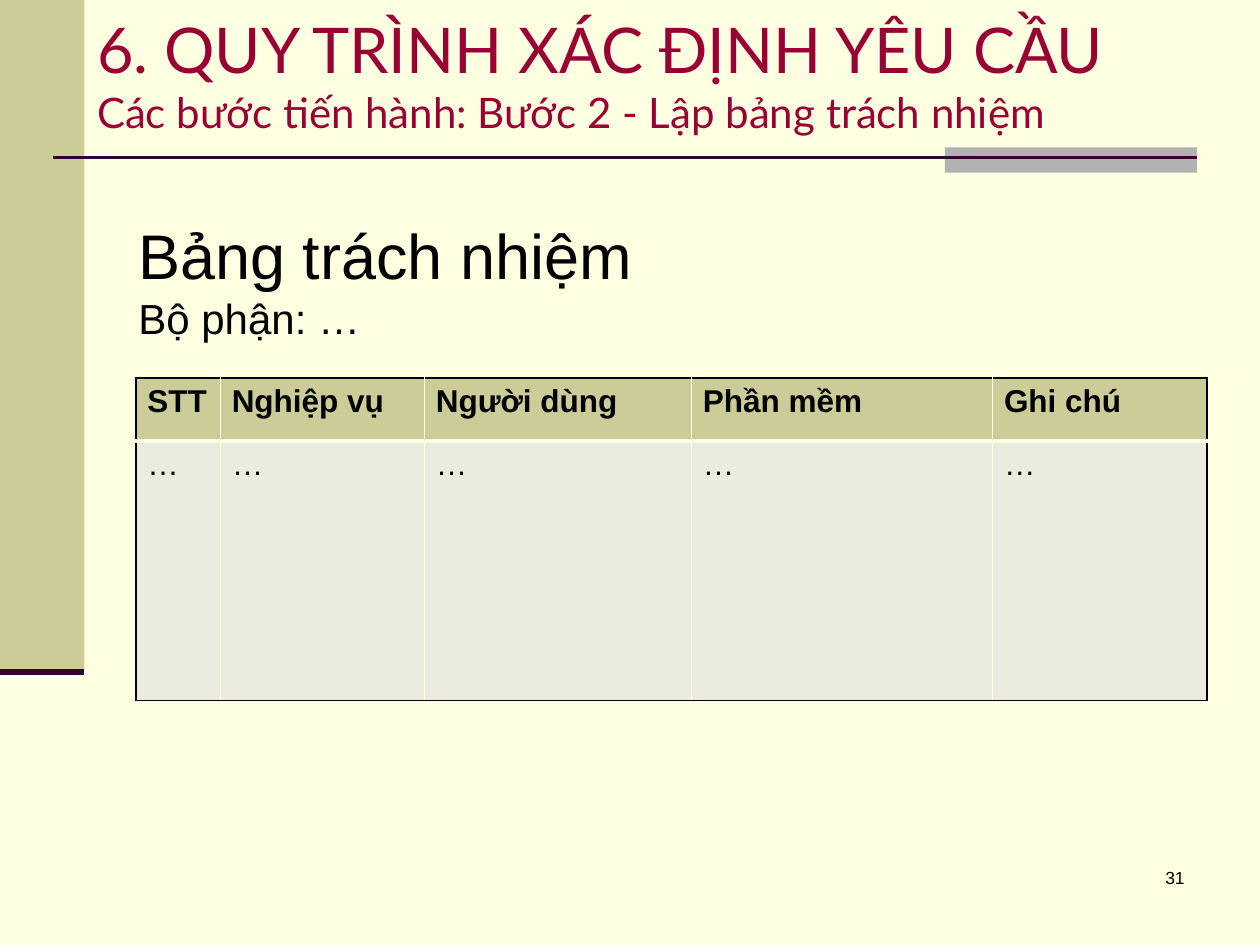
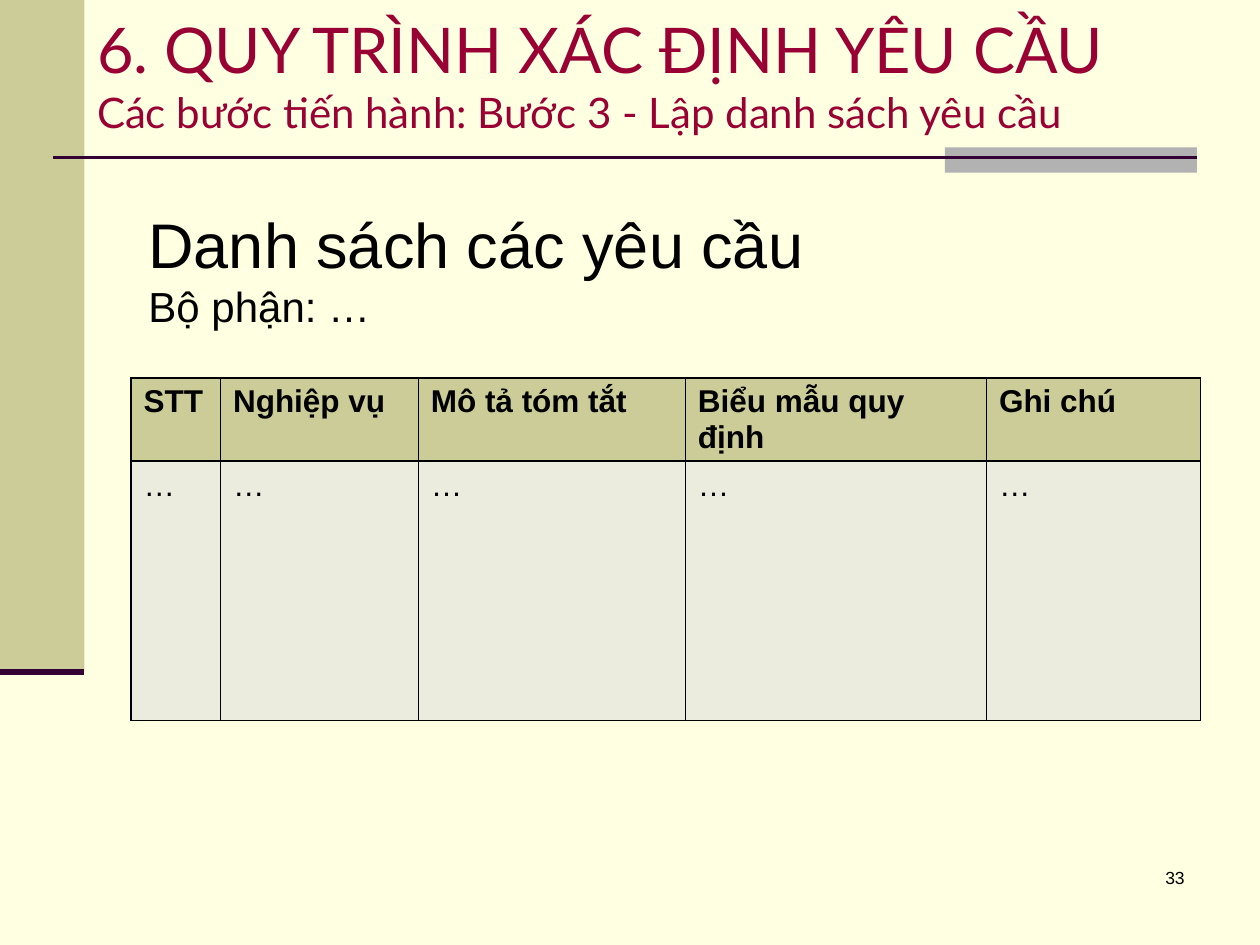
from dataclasses import dataclass

from lxml.etree import SubElement
from pptx import Presentation
from pptx.dml.color import RGBColor
from pptx.enum.shapes import MSO_CONNECTOR, MSO_SHAPE
from pptx.enum.text import MSO_ANCHOR, MSO_AUTO_SIZE, PP_ALIGN
from pptx.oxml.ns import qn
from pptx.util import Inches, Pt


@dataclass(frozen=True)
class Theme:
    """Colours, fonts and type sizes shared by the slides."""
    paper: str = "FFFFE1"
    olive: str = "CCCC99"
    pale: str = "ECECDE"
    grey: str = "B2B2B2"
    plum: str = "330033"
    crimson: str = "990033"
    ink: str = "000000"
    title_font: str = "Lato"
    body_font: str = "Arial"
    heading: int = 36
    subheading: int = 24
    cell: int = 18
    number: int = 10


THEME = Theme()
SECTION = "6. QUY TRÌNH XÁC ĐỊNH YÊU CẦU"
DEPARTMENT = "Bộ phận: …"
TITLE_BOX = (0.67, 0, 9.33, 1.17)
NUMBER_BOX = (7.42, 6.83, 2.08, 0.5)

SLIDES = [
    dict(
        step="Các bước tiến hành: Bước 2 - Lập bảng trách nhiệm",
        caption="Bảng trách nhiệm", caption_box=(1, 1.67, 8.5, 1.11),
        headers=["STT", "Nghiệp vụ", "Người dùng", "Phần mềm", "Ghi chú"],
        table_at=(1.08, 3), widths=[0.67, 1.62, 2.12, 2.39, 1.7],
        heights=[0.5, 2.06], margin=0.09,
        inner=THEME.paper, header_rule=3, number="31",
    ),
    dict(
        step="Các bước tiến hành: Bước 3 - Lập danh sách yêu cầu",
        caption="Danh sách các yêu cầu", caption_box=(1.08, 1.58, 8.42, 1.11),
        headers=["STT", "Nghiệp vụ", "Mô tả tóm tắt", "Biểu mẫu quy định", "Ghi chú"],
        table_at=(1.04, 3), widths=[0.71, 1.57, 2.12, 2.39, 1.7],
        heights=[0.66, 2.06], margin=0.1,
        inner=THEME.ink, header_rule=1, number="33",
    ),
]


def rgb(value):
    """Turn a hex string into a colour."""
    return RGBColor.from_string(value)


def inches(*lengths):
    """Convert several lengths to inches."""
    return [Inches(length) for length in lengths]


def write(frame, *lines, font=THEME.body_font, color=THEME.ink, bold=False,
          align=PP_ALIGN.LEFT, anchor=MSO_ANCHOR.TOP):
    """Write (text, size) lines into one paragraph, parted by line breaks."""
    frame.word_wrap = True
    frame.vertical_anchor = anchor
    paragraph = frame.paragraphs[0]
    paragraph.alignment = align
    for index, (text, size) in enumerate(lines):
        if index:
            paragraph.add_line_break()
            line_break = paragraph._p.findall(qn("a:br"))[-1]
            SubElement(line_break, qn("a:rPr"), sz=str(lines[index - 1][1] * 100))
        run = paragraph.add_run()
        run.text = text
        run.font.name = font
        run.font.size = Pt(size)
        run.font.bold = bold
        run.font.color.rgb = rgb(color)


def add_text(slide, box, *lines, **style):
    """Add a text box holding the given lines."""
    frame = slide.shapes.add_textbox(*inches(*box)).text_frame
    write(frame, *lines, **style)


def add_block(slide, box, color):
    """Add a plain filled rectangle."""
    block = slide.shapes.add_shape(MSO_SHAPE.RECTANGLE, *inches(*box))
    block.shadow.inherit = False
    block.fill.solid()
    block.fill.fore_color.rgb = rgb(color)
    block.line.fill.background()


def add_rule(slide, left, right, y, weight):
    """Add a horizontal plum line."""
    rule = slide.shapes.add_connector(
        MSO_CONNECTOR.STRAIGHT, *inches(left, y, right, y))
    rule.line.color.rgb = rgb(THEME.plum)
    rule.line.width = Pt(weight)
    SubElement(rule._element.spPr, qn("a:effectLst"))


def add_side_band(slide, box):
    """Draw the left band with its closing line."""
    left, top, width, height = box
    add_block(slide, box, THEME.olive)
    add_rule(slide, left, left + width, top + height, 3.5)


def add_title(slide, box, step):
    """Place the title and the line with its grey tab below it."""
    left, top, width, height = box
    bottom = top + height
    add_block(slide, (left + width - 2.5, bottom, 2, 0.2), THEME.grey)
    add_rule(slide, left - 0.25, left + width - 0.5, bottom + 0.08, 1.5)
    title = slide.shapes.title
    title.left, title.top, title.width, title.height = inches(*box)
    title.text_frame.auto_size = MSO_AUTO_SIZE.NONE
    write(title.text_frame, (SECTION, THEME.heading), (step, THEME.subheading),
          font=THEME.title_font, color=THEME.crimson, anchor=MSO_ANCHOR.MIDDLE)


def set_borders(cell, borders):
    """Draw cell borders given as (side, colour, points)."""
    properties = cell._tc.get_or_add_tcPr()
    for side, color, points in borders:
        line = SubElement(properties, qn(f"a:ln{side}"), w=str(Pt(points)))
        fill = SubElement(line, qn("a:solidFill"))
        SubElement(fill, qn("a:srgbClr"), val=color)


def add_form(slide, at, headers, widths, heights, margin, inner, header_rule):
    """Add the form table: a header row over one open row."""
    table = slide.shapes.add_table(
        len(heights), len(widths), *inches(*at, sum(widths), sum(heights))).table
    table.first_row = table.horz_banding = False
    for column, width in zip(table.columns, widths):
        column.width = Inches(width)
    for row, height in zip(table.rows, heights):
        row.height = Inches(height)
    last = len(widths) - 1
    for index, header in enumerate(headers):
        left = THEME.ink if index == 0 else inner
        right = THEME.ink if index == last else inner
        sides = [("L", left, 1), ("R", right, 1)]
        rows = [
            (header, True, THEME.olive,
             [("T", THEME.ink, 1), ("B", inner, header_rule)]),
            ("…", False, THEME.pale,
             [("T", inner, header_rule), ("B", THEME.ink, 1)]),
        ]
        for row, (text, bold, fill, edges) in enumerate(rows):
            cell = table.cell(row, index)
            set_borders(cell, sides + edges)
            cell.fill.solid()
            cell.fill.fore_color.rgb = rgb(fill)
            cell.margin_left = cell.margin_right = Inches(margin)
            cell.margin_top = cell.margin_bottom = Inches(0.05)
            write(cell.text_frame, (text, THEME.cell), bold=bold)


def add_form_slide(deck, step, caption, caption_box, table_at, number, **form):
    """Build one slide with a captioned form."""
    slide = deck.slides.add_slide(deck.slide_layouts[5])
    add_side_band(slide, (0, 0, 0.67, 5.33))
    add_title(slide, TITLE_BOX, step)
    add_form(slide, table_at, **form)
    add_text(slide, NUMBER_BOX, (number, THEME.number), align=PP_ALIGN.RIGHT)
    add_text(slide, caption_box, (caption, THEME.heading),
             (DEPARTMENT, THEME.subheading))


def main():
    """Build and save the deck."""
    deck = Presentation()
    deck.slide_width, deck.slide_height = inches(10, 7.5)
    background = deck.slide_master.background.fill
    background.solid()
    background.fore_color.rgb = rgb(THEME.paper)
    for content in SLIDES:
        add_form_slide(deck, **content)
    deck.save("out.pptx")


if __name__ == "__main__":
    main()
